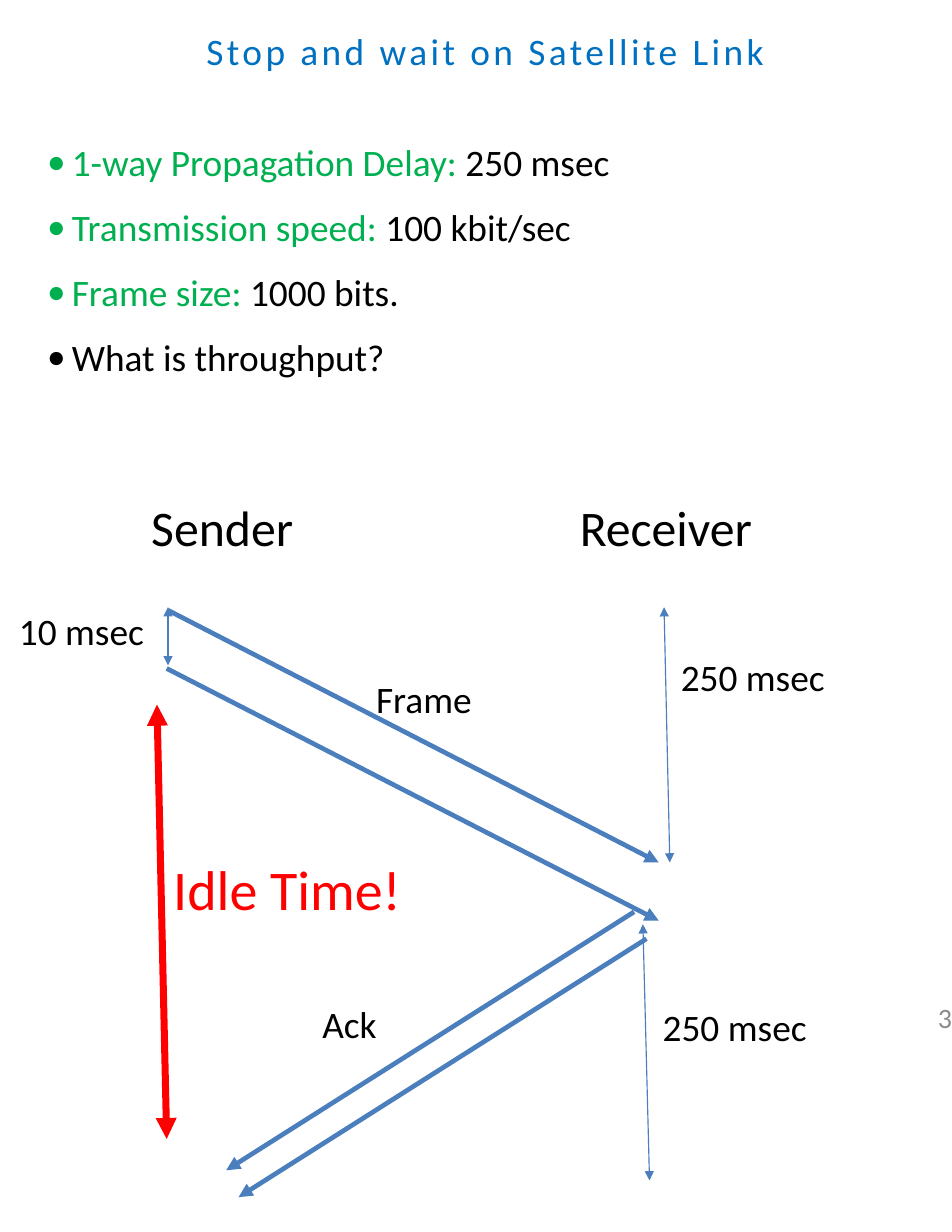
from lxml.etree import SubElement
from pptx import Presentation
from pptx.dml.color import RGBColor
from pptx.enum.shapes import MSO_CONNECTOR as Connector
from pptx.enum.text import MSO_AUTO_SIZE as AutoSize, PP_ALIGN as Align
from pptx.oxml.ns import qn
from pptx.util import Cm, Pt

COLORS = {
    "title": "0070C0",
    "label": "00B050",
    "text": "000000",
    "line": "4B7EBC",
    "idle": "FF0000",
    "number": "8C8C8C",
}


def add_box(left, top, width, height, inset=True):
    box = page.shapes.add_textbox(Cm(left), Cm(top), Cm(width), Cm(height))
    frame = box.text_frame
    frame.auto_size = AutoSize.NONE
    frame.word_wrap = not inset
    if not inset:
        frame.margin_left = frame.margin_right = 0
        frame.margin_top = frame.margin_bottom = 0
    return frame


def style(span, size, color):
    span.font.name = "Calibri"
    span.font.size = Pt(size)
    span.font.color.rgb = RGBColor.from_string(COLORS[color])


deck = Presentation()
deck.slide_width = Cm(21.59)
deck.slide_height = Cm(27.94)
page = deck.slides.add_slide(deck.slide_layouts[6])

frame = add_box(21.08, 23.01, 0.51, 0.46, inset=False)
para = frame.paragraphs[0]
para.text = "3"
para.alignment = Align.RIGHT
para.line_spacing = Pt(12.3)
style(para.runs[0], 18, "number")

frame = add_box(0.64, 0.64, 19.66, 9.47, inset=False)
para = frame.paragraphs[0]
para.text = "Stop and wait on Satellite Link"
para._p.get_or_add_pPr().set("marL", str(Cm(4.04)))
style(para.runs[0], 24, "title")
para.runs[0].font._element.set("spc", "220")

facts = [
    ("1-way Propagation Delay: ", "250 msec"),
    ("Transmission speed: ", "100 kbit/sec"),
    ("Frame size: ", "1000 bits."),
    ("", "What is throughput?"),
]
for index, (label, value) in enumerate(facts):
    para = frame.add_paragraph()
    properties = para._p.get_or_add_pPr()
    properties.set("marL", str(Cm(0.99)))
    properties.set("indent", str(Cm(-0.56)))
    SubElement(properties, qn("a:buFont")).set("typeface", "Calibri")
    SubElement(properties, qn("a:buChar")).set("char", "•")
    para.alignment = Align.JUSTIFY
    para.line_spacing = 1.17
    para.space_before = Pt(8.2 if index else 37.5)
    for text, color in ((label, "label"), (value, "text")):
        if text:
            span = para.add_run()
            span.text = text
            style(span, 24, color)

arrows = [
    (3.81, 13.77, 3.81, 15.09, 0.75, "line", True),
    (3.78, 15.16, 14.94, 20.88, 3, "line", False),
    (3.81, 13.84, 14.94, 19.56, 3, "line", False),
    (15.06, 13.77, 15.19, 19.56, 0.75, "line", True),
    (14.58, 20.96, 14.73, 26.77, 0.75, "line", True),
    (14.38, 20.68, 5.13, 26.54, 3, "line", False),
    (14.66, 21.29, 5.41, 27.15, 3, "line", False),
    (3.56, 15.98, 3.78, 25.83, 4.5, "idle", True),
]
for x1, y1, x2, y2, weight, color, double in arrows:
    arrow = page.shapes.add_connector(
        Connector.STRAIGHT, Cm(x1), Cm(y1), Cm(x2), Cm(y2))
    arrow.line.width = Pt(weight)
    arrow.line.color.rgb = RGBColor.from_string(COLORS[color])
    outline = arrow.line._get_or_add_ln()
    for end in ("a:headEnd", "a:tailEnd") if double else ("a:tailEnd",):
        SubElement(outline, qn(end)).set("type", "triangle")
    SubElement(arrow._element.spPr, qn("a:effectLst"))

labels = [
    ("Sender", 3.18, 11.15, 3.76, 1.63, 32, "text"),
    ("Receiver", 12.9, 11.15, 4.45, 1.63, 32, "text"),
    ("250 msec", 14.78, 22.66, 3.81, 1.27, 24, "text"),
    ("Ack", 7.06, 22.58, 1.75, 1.27, 24, "text"),
    ("250 msec", 15.19, 14.71, 3.81, 1.27, 24, "text"),
    ("10 msec", 0.18, 13.67, 3.38, 1.27, 24, "text"),
    ("Idle Time!", 3.68, 19.25, 5.72, 1.8, 36, "idle"),
    ("Frame", 8.28, 15.21, 2.69, 1.27, 24, "text"),
]
for text, left, top, width, height, size, color in labels:
    para = add_box(left, top, width, height).paragraphs[0]
    para.text = text
    style(para.runs[0], size, color)

deck.save("out.pptx")
